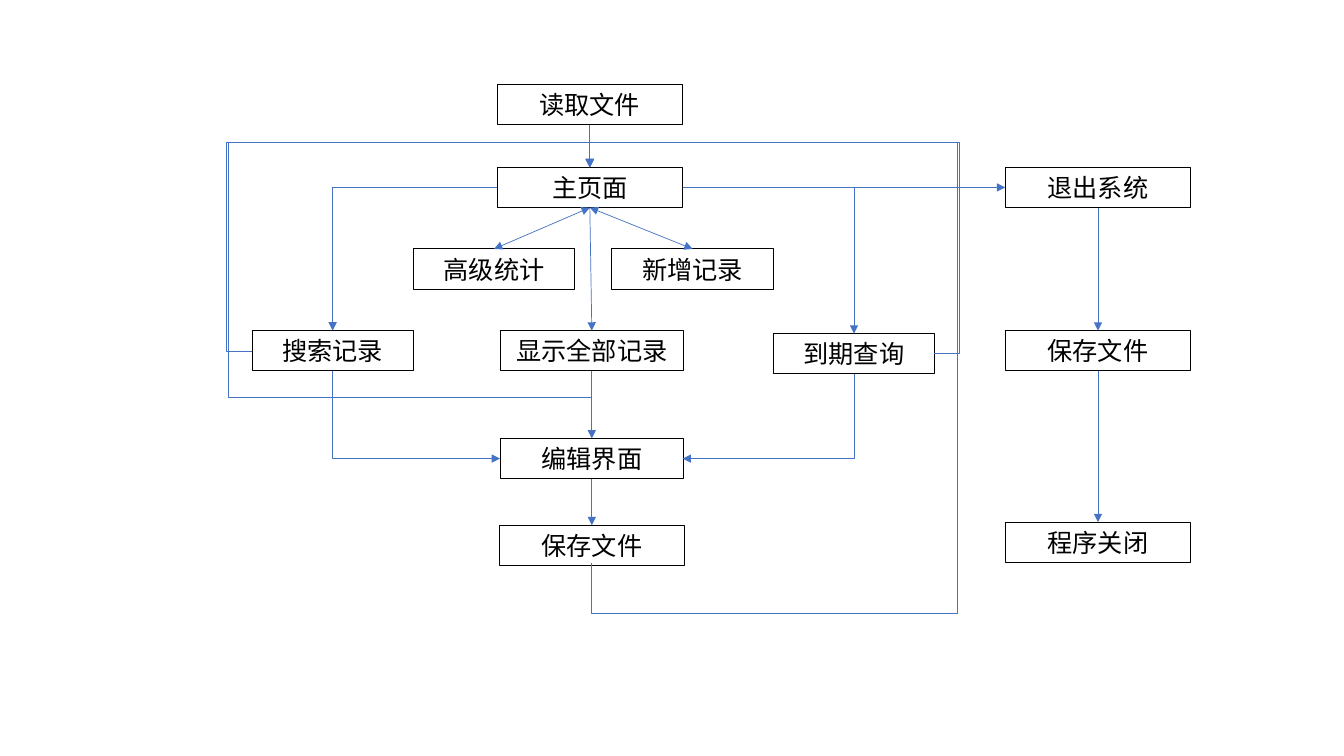
from pptx import Presentation
from pptx.dml.color import RGBColor
from pptx.enum.shapes import MSO_CONNECTOR as LINK, MSO_SHAPE as SHAPE
from pptx.enum.text import MSO_ANCHOR as ANCHOR, PP_ALIGN as ALIGN
from pptx.oxml.ns import qn
from pptx.util import Inches, Pt
from lxml.etree import SubElement

BLACK = RGBColor(0x00, 0x00, 0x00)
BLUE = RGBColor(0x44, 0x72, 0xC4)
FONT = "Noto Sans CJK SC"
BOX_HEIGHT = 0.4

# Columns and rows shared by the boxes and the arrows
SEARCH_X, MAIN_X, LIST_X, DUE_X, EXIT_X = 3.3, 5.85, 5.87, 8.47, 10.89
READ_Y, MAIN_Y, ACTION_Y, RECORD_Y, EDIT_Y = 0.84, 1.66, 2.47, 3.28, 4.35
DUE_Y, SAVE_Y, CLOSE_Y = 3.31, 5.21, 5.18
STATISTICS_X, ADD_X = 4.9, 6.87
RETURN_Y = 1.41

# Text, centre, top, width
STEPS = [
    ("读取文件", MAIN_X, READ_Y, 1.84),
    ("主页面", MAIN_X, MAIN_Y, 1.84),
    ("搜索记录", SEARCH_X, RECORD_Y, 1.6),
    ("新增记录", ADD_X, ACTION_Y, 1.6),
    ("显示全部记录", LIST_X, RECORD_Y, 1.81),
    ("高级统计", STATISTICS_X, ACTION_Y, 1.6),
    ("到期查询", DUE_X, DUE_Y, 1.6),
    ("编辑界面", LIST_X, EDIT_Y, 1.81),
    ("保存文件", LIST_X, SAVE_Y, 1.84),
    ("退出系统", EXIT_X, MAIN_Y, 1.84),
    ("保存文件", EXIT_X, RECORD_Y, 1.84),
    ("程序关闭", EXIT_X, CLOSE_Y, 1.84),
]


def below(top):
    """Return the bottom edge of a box."""
    return round(top + BOX_HEIGHT, 2)


def middle(top):
    """Return the middle height of a box."""
    return round(top + BOX_HEIGHT / 2, 2)


def add_step(page, text, centre, top, width):
    """Draw one outlined step with centred text."""
    box = page.shapes.add_shape(SHAPE.RECTANGLE, Inches(centre - width / 2),
                                Inches(top), Inches(width), Inches(BOX_HEIGHT))
    box.shadow.inherit = False
    box.fill.background()
    box.line.color.rgb = BLACK
    box.line.width = Pt(0.75)
    frame = box.text_frame
    frame.text = text
    frame.word_wrap = True
    frame.vertical_anchor = ANCHOR.MIDDLE
    frame.margin_top = frame.margin_bottom = 0
    paragraph = frame.paragraphs[0]
    paragraph.alignment = ALIGN.CENTER
    span = paragraph.runs[0]
    span.font.size = Pt(18)
    span.font.name = FONT
    span.font.color.rgb = BLACK
    SubElement(span.font._element, qn("a:ea")).set("typeface", FONT)


def style_arrow(connector, both):
    """Set the line, remove the shadow and add the arrowheads."""
    connector.line.color.rgb = BLUE
    connector.line.width = Pt(0.5)
    line = connector.line._get_or_add_ln()
    for end in ("headEnd", "tailEnd") if both else ("tailEnd",):
        SubElement(line, qn("a:" + end)).set("type", "triangle")
    SubElement(connector._element.spPr, qn("a:effectLst"))


def add_arrow(page, start, end, both=False):
    """Draw a straight arrow."""
    connector = page.shapes.add_connector(
        LINK.STRAIGHT, *(Inches(value) for value in start + end))
    style_arrow(connector, both)


def add_route(page, *points):
    """Draw a right-angled arrow through the points as one bent connector."""
    (x0, y0), (x1, y1) = points[0], points[-1]
    upright = points[0][0] == points[1][0]
    width, height = abs(x1 - x0), abs(y1 - y0)
    flips = {"flipH": x1 < x0, "flipV": y1 < y0}
    if upright:
        width, height = height, width
        flips = {"flipH": y1 < y0, "flipV": x1 > x0}
    left, top = (x0 + x1 - width) / 2, (y0 + y1 - height) / 2
    connector = page.shapes.add_connector(
        LINK.ELBOW, Inches(left), Inches(top),
        Inches(left + width), Inches(top + height))
    if upright:
        connector.rotation = 90
        connector._element.spPr.find(qn("a:xfrm")).set("rot", "5400000")
    for name, flipped in flips.items():
        if flipped:
            connector._element.spPr.find(qn("a:xfrm")).set(name, "1")

    # Each inner bend is a share of the way from start to end
    geometry = connector._element.spPr.find(qn("a:prstGeom"))
    geometry.set("prst", f"bentConnector{len(points) - 1}")
    guides = geometry.find(qn("a:avLst"))
    if guides is None:
        guides = SubElement(geometry, qn("a:avLst"))
    for number, point in enumerate(points[1:-2], 1):
        axis = (number + 1 + upright) % 2
        share = (point[axis] - points[0][axis]) / (points[-1][axis] - points[0][axis])
        guide = SubElement(guides, qn("a:gd"))
        guide.set("name", f"adj{number}")
        guide.set("fmla", f"val {round(share * 100000)}")
    style_arrow(connector, False)


def add_returns(page):
    """Draw the routes that lead back to the main page."""
    top = (MAIN_X, RETURN_Y)
    goal = (MAIN_X, MAIN_Y)
    add_route(page, (LIST_X, 5.59), (LIST_X, 6.08), (9.48, 6.08),
              (9.48, RETURN_Y), top, goal)
    add_route(page, (2.5, 3.49), (2.25, 3.49), (2.25, RETURN_Y), top, goal)
    add_route(page, (9.26, 3.51), (9.52, 3.51), (9.52, RETURN_Y), top, goal)
    add_route(page, (LIST_X, below(RECORD_Y)), (LIST_X, 3.94), (2.28, 3.94),
              (2.28, RETURN_Y), top, goal)


def main():
    """Build the flow chart slide."""
    deck = Presentation()
    deck.slide_width, deck.slide_height = Inches(13.33), Inches(7.5)
    page = deck.slides.add_slide(deck.slide_layouts[6])

    for step in STEPS:
        add_step(page, *step)

    for x, upper, lower in [(MAIN_X, READ_Y, MAIN_Y), (LIST_X, RECORD_Y, EDIT_Y),
                            (LIST_X, EDIT_Y, SAVE_Y), (EXIT_X, MAIN_Y, RECORD_Y),
                            (EXIT_X, RECORD_Y, CLOSE_Y)]:
        add_arrow(page, (x, below(upper)), (x, lower))
    main_bottom = (MAIN_X, below(MAIN_Y))
    add_arrow(page, main_bottom, (LIST_X, RECORD_Y))
    add_arrow(page, (6.77, middle(MAIN_Y)), (9.97, middle(MAIN_Y)))
    for x in (STATISTICS_X, ADD_X):
        add_arrow(page, main_bottom, (x, ACTION_Y), both=True)

    for x, top, main_side, edit_side in [(SEARCH_X, RECORD_Y, 4.93, 4.96),
                                         (DUE_X, DUE_Y, 6.77, 6.77)]:
        add_route(page, (main_side, middle(MAIN_Y)), (x, middle(MAIN_Y)), (x, top))
        add_route(page, (x, below(top)), (x, middle(EDIT_Y)),
                  (edit_side, middle(EDIT_Y)))
    add_returns(page)
    deck.save("out.pptx")


if __name__ == "__main__":
    main()
